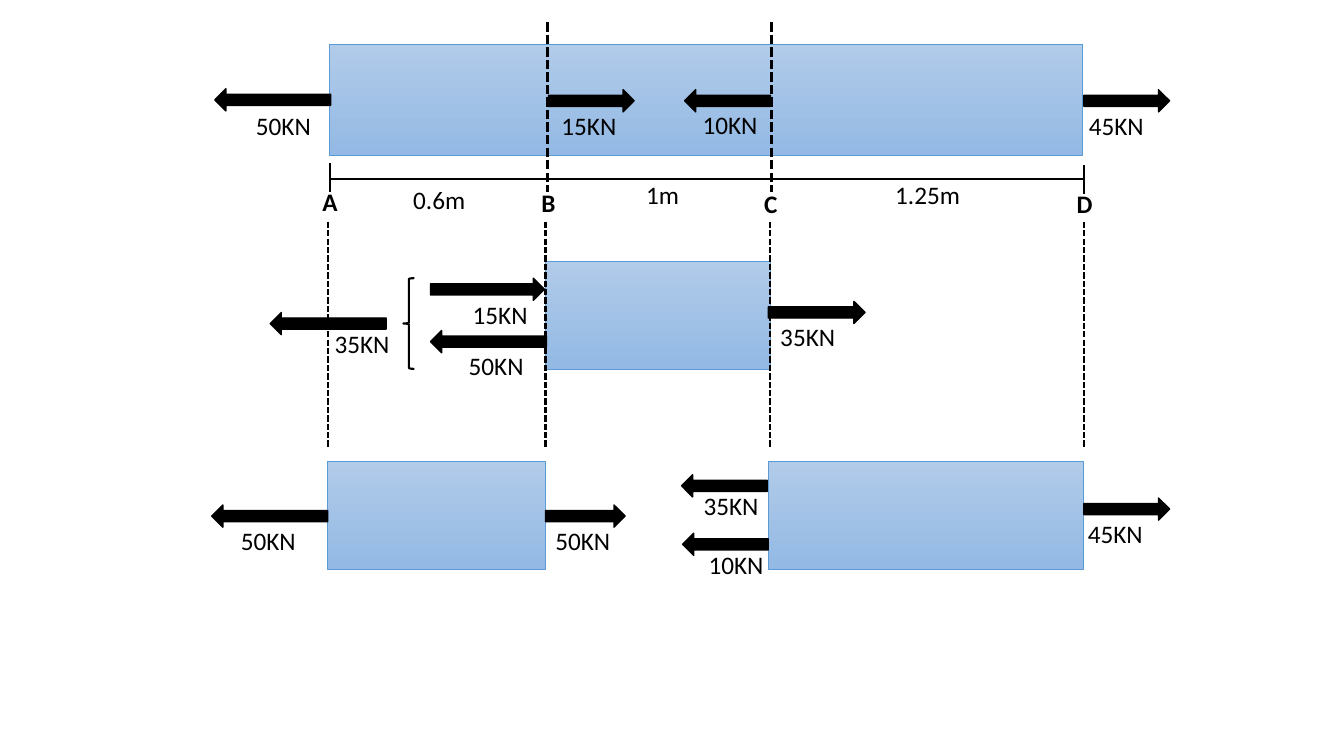
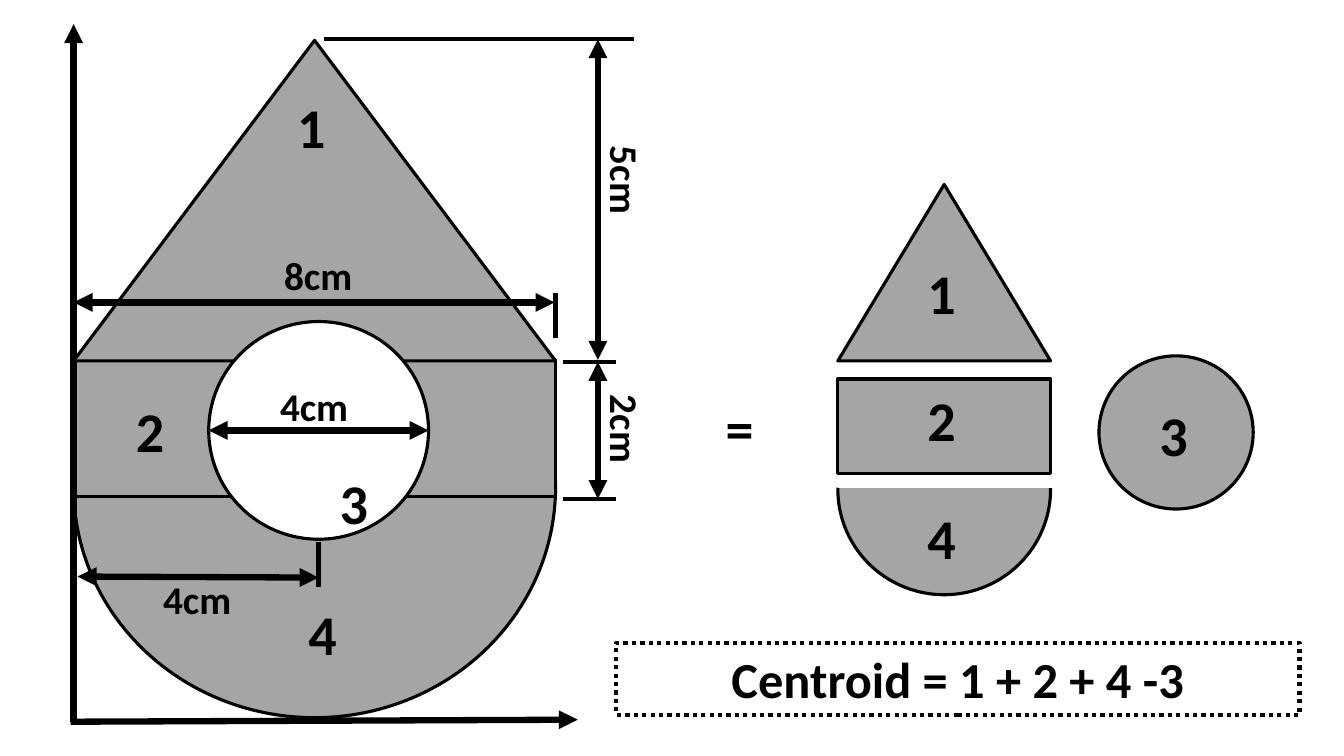
from lxml import etree
from pptx import Presentation
from pptx.dml.color import RGBColor
from pptx.enum import dml, shapes, text
from pptx.oxml.ns import qn
from pptx.util import Emu, Pt

PX = 9144  # EMU in one px, 100 px to the inch
FONT = "Calibri"
BLACK = RGBColor(0x00, 0x00, 0x00)
WHITE = RGBColor(0xFF, 0xFF, 0xFF)
GRAY = RGBColor(0xA5, 0xA5, 0xA5)
BLUE = RGBColor(0x5B, 0x9B, 0xD5)
PALE = RGBColor(0xB1, 0xCB, 0xE9)
DEEP = RGBColor(0x93, 0xB9, 0xE4)
KIND = shapes.MSO_SHAPE
DASH = dml.MSO_LINE.SQUARE_DOT
DOTS = dml.MSO_LINE.ROUND_DOT


def px(*vals):
    return [Emu(v * PX) for v in vals]


# Shared parts
def form(slide, kind, box, fill=None, edge=BLACK, width=2.25):
    shape = slide.shapes.add_shape(kind, *px(*box))
    shape.shadow.inherit = False
    if fill is None:
        shape.fill.background()
    else:
        shape.fill.solid()
        shape.fill.fore_color.rgb = fill
    if edge is None:
        shape.line.fill.background()
    else:
        shape.line.color.rgb = edge
        shape.line.width = Pt(width)
    return shape


def line(slide, x1, y1, x2, y2, width, dash=None, heads=()):
    link = slide.shapes.add_connector(
        shapes.MSO_CONNECTOR.STRAIGHT, *px(x1, y1, x2, y2))
    link.line.color.rgb = BLACK
    link.line.width = Pt(width)
    if dash is not None:
        link.line.dash_style = dash
    for end in heads:
        etree.SubElement(link.line._get_or_add_ln(), qn("a:" + end), type="triangle")
    etree.SubElement(link._element.spPr, qn("a:effectLst"))


def label(slide, words, box, size=18, bold=False, mid=False, turn=0):
    note = slide.shapes.add_textbox(*px(*box))
    note.rotation = turn
    frame = note.text_frame
    frame.word_wrap = True
    frame.auto_size = text.MSO_AUTO_SIZE.SHAPE_TO_FIT_TEXT
    para = frame.paragraphs[0]
    para.text = words
    para.alignment = text.PP_ALIGN.CENTER if mid else text.PP_ALIGN.LEFT
    font = para.font
    font.name, font.size, font.bold = FONT, Pt(size), bold
    font.color.rgb = BLACK
    return note


# Loaded bars
def member(slide, box, loads):
    """Each load: points right, arrow x, y, length, words, label x, y."""
    x, y = box[:2]
    body = form(slide, KIND.RECTANGLE, box, PALE, BLUE, 0.5)
    body.fill.gradient()
    body.fill.gradient_angle = 270
    for stop, shade in zip(body.fill.gradient_stops, (PALE, DEEP)):
        stop.color.rgb = shade
    for right, ax, ay, span, words, tx, ty in loads:
        kind = KIND.RIGHT_ARROW if right else KIND.LEFT_ARROW
        form(slide, kind, (x + ax, y + ay, span, 22), BLACK, BLACK, 1)
        label(slide, words, (x + tx, y + ty, 82, 40))


def ruler(slide, x, y):
    line(slide, x, y, x + 748, y, 1.5)
    for cut in (216, 438):
        line(slide, x + cut, y - 156, x + cut, y + 12, 2.25, DASH)
    for end, top in ((0, -16), (748, -14)):
        line(slide, x + end, y + top, x + end, y + top + 28, 1.5)
    for words, dx, dy in (("0.6m", 73, 0), ("1m", 304, -5), ("1.25m", 551, -5)):
        label(slide, words, (x + dx, y + dy, 95, 40))
    for words, dx, dy in (("A", -17, 2), ("B", 200, 3), ("C", 421, 4), ("D", 731, 4)):
        label(slide, words, (x + dx, y + dy, 28, 40), bold=True)
    for drop in (-2, 214, 437, 748):
        line(slide, x + drop, y + 42, x + drop, y + 266, 1.5, DASH)


def forces(slide):
    member(slide, (327, 44, 747, 110), (
        (False, -114, 44, 115, "50KN", -83, 61),
        (True, 217, 45, 85, "15KN", 220, 61),
        (False, 352, 45, 85, "10KN", 360, 60),
        (True, 748, 45, 85, "45KN", 743, 61)))
    member(slide, (325, 458, 216, 107), (
        (False, -115, 43, 115, "50KN", -96, 58),
        (True, 216, 43, 79, "50KN", 216, 58)))
    member(slide, (541, 259, 223, 107), (
        (True, -114, 17, 113, "15KN", -82, 33),
        (False, -114, 69, 115, "50KN", -86, 84),
        (False, -273, 51, 115, "35KN", -219, 62),
        (True, 221, 40, 96, "35KN", 223, 55)))
    member(slide, (762, 458, 313, 107), (
        (False, -86, 13, 85, "35KN", -74, 24),
        (False, -85, 71, 85, "10KN", -69, 82),
        (True, 313, 36, 85, "45KN", 307, 51)))
    form(slide, KIND.LEFT_BRACE, (400, 276, 11, 90), width=1.5)
    ruler(slide, 327, 178)


# Centroid shapes
def marks(slide, x, y, items):
    for words, dx, dy in items:
        label(slide, words, (x + dx, y + dy, 53, 77), 40, True)


def whole(slide, x, y):
    for kind, dx, dy, w, h, fill in (
            (KIND.OVAL, 0, 215, 478, 457, GRAY),
            (KIND.RECTANGLE, 0, 317, 478, 136, GRAY),
            (KIND.FLOWCHART_EXTRACT, 0, 0, 478, 318, GRAY),
            (KIND.OVAL, 134, 279, 218, 216, WHITE)):
        form(slide, kind, (x + dx, y + dy, w, h), fill)
    marks(slide, x, y, (("1", 212, 47), ("2", 52, 348), ("3", 254, 420), ("4", 223, 550)))
    axes = ((0, 676, 0, -16), (-3, 676, 500, 674))
    spans = ((520, 455, 520, 319), (520, 317, 520, -1), (134, 387, 352, 387),
             (0, 260, 477, 260), (4, 532, 243, 533))
    ticks = ((485, 455, 538, 455), (485, 319, 538, 319), (478, 251, 478, 295),
             (248, -1, 556, -1), (243, 498, 243, 542))
    for group, width, heads in ((axes, 4.5, ("tailEnd",)),
                                (spans, 4.5, ("headEnd", "tailEnd")),
                                (ticks, 3, ())):
        for x1, y1, x2, y2 in group:
            line(slide, x + x1, y + y1, x + x2, y + y2, width, heads=heads)
    for words, dx, dy, turn in (("4cm", 187, 334, 0), ("2cm", 496, 357, 90),
                                ("5cm", 496, 110, 90), ("8cm", 191, 204, 0),
                                ("4cm", 71, 526, 0)):
        label(slide, words, (x + dx, y + dy, 103, 57), 28, True, True, turn)


def pieces(slide, x, y):
    form(slide, KIND.OVAL, (x, y + 198, 211, 209), GRAY)
    # White cover leaves the lower half of the disc
    form(slide, KIND.ROUNDED_RECTANGLE, (x - 20, y + 175, 260, 126), WHITE, None)
    form(slide, KIND.RECTANGLE, (x, y + 193, 211, 94), GRAY)
    form(slide, KIND.FLOWCHART_EXTRACT, (x, y, 211, 175), GRAY)
    form(slide, KIND.OVAL, (x + 259, y + 170, 153, 152), GRAY)
    marks(slide, x, y, (("=", -121, 203), ("1", 79, 69), ("2", 79, 195),
                        ("4", 79, 312), ("3", 309, 209)))


def centroid(slide):
    pieces(slide, 831, 183)
    whole(slide, 73, 40)
    rule = label(slide, "Centroid = 1 + 2 + 4 -3", (611, 638, 678, 71), 36, True, True)
    rule.line.color.rgb = BLACK
    rule.line.width = Pt(3)
    rule.line.dash_style = DOTS


def main():
    deck = Presentation()
    deck.slide_width, deck.slide_height = px(1333, 750)
    for build in (forces, centroid):
        build(deck.slides.add_slide(deck.slide_layouts[6]))
    deck.save("out.pptx")


if __name__ == "__main__":
    main()
